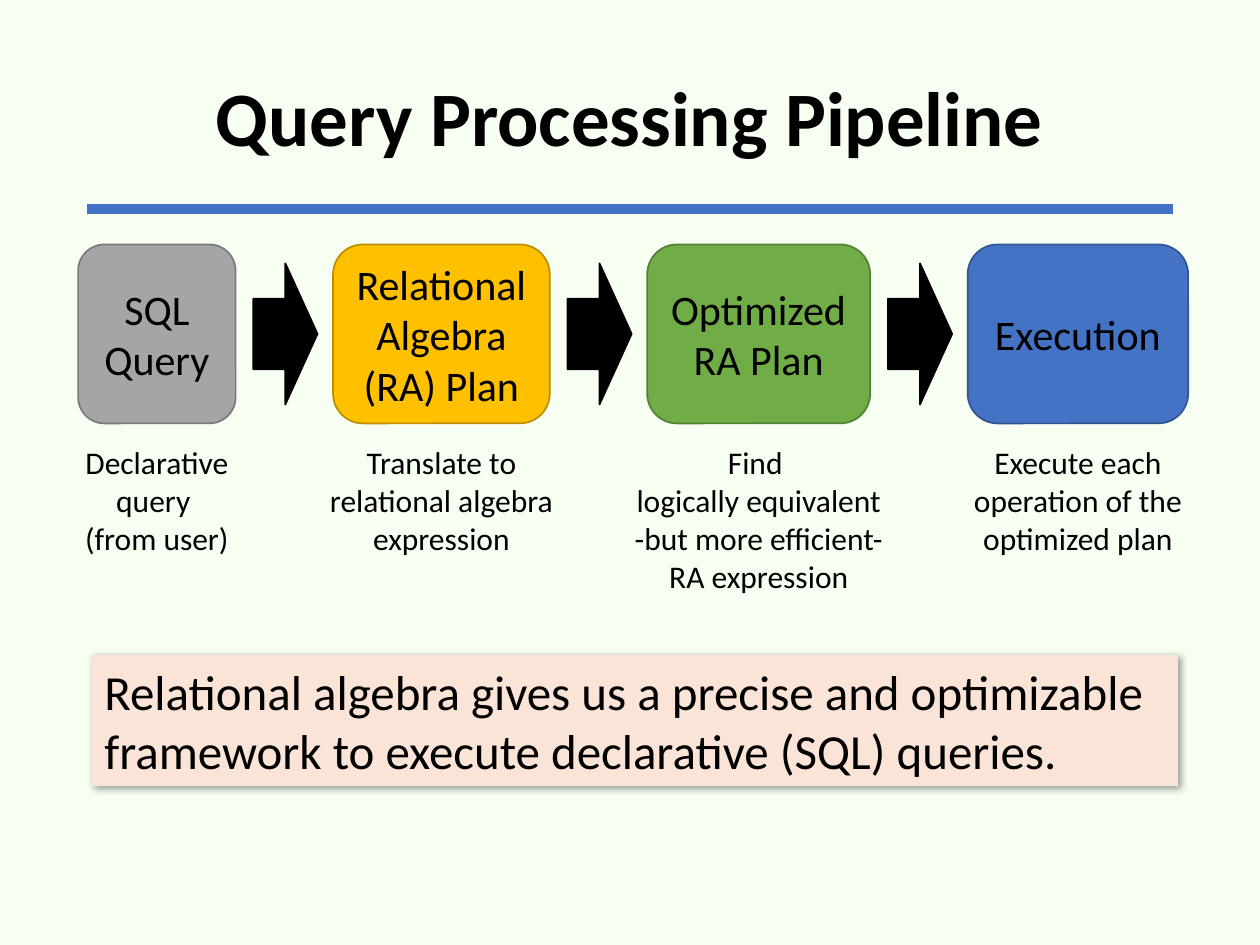
import pptx
import pptx.util
import pptx.dml.color
import pptx.enum.shapes
import pptx.enum.text
import pptx.oxml
import pptx.oxml.ns
from lxml import etree

Inches, Pt = pptx.util.Inches, pptx.util.Pt
SHAPE = pptx.enum.shapes.MSO_SHAPE
ALIGN = pptx.enum.text.PP_ALIGN
ANCHOR = pptx.enum.text.MSO_ANCHOR

COLORS = {
    "background": "F7FFF3", "text": "000000", "blue": "4472C4", "blue_edge": "325491",
    "gray": "A5A5A5", "gray_edge": "7A7A7A", "gold": "FFC000", "gold_edge": "BD8E00",
    "green": "70AD47", "green_edge": "538035", "banner": "FAE4D7",
}
STAGES = [
    ("SQL Query", 1.25, "gray", 1.45, ["Declarative query ", "(from user)"]),
    ("Relational Algebra (RA) Plan", 1.72, "gold", 2.11,
     ["Translate to relational algebra expression"]),
    ("Optimized RA Plan", 1.77, "green", 2.29,
     ["Find ", "logically equivalent", "-but more efficient- RA expression"]),
    ("Execution", 1.75, "blue", 1.91, ["Execute each operation of the optimized plan"]),
]


def rgb(name):
    return pptx.dml.color.RGBColor.from_string(COLORS[name])


def write(sp, lines, size, align=ALIGN.CENTER, anchor=ANCHOR.TOP, bold=False, spacing=None):
    tf = sp.text_frame
    tf.word_wrap = True
    tf.vertical_anchor = anchor
    for i, line in enumerate(lines):
        p = tf.paragraphs[0] if i == 0 else tf.add_paragraph()
        p.alignment = align
        p.line_spacing = spacing
        r = p.add_run()
        r.text = line
        r.font.name = "Calibri"
        r.font.size = Pt(size)
        r.font.bold = bold
        r.font.color.rgb = rgb("text")


def add_shape(s, kind, x, y, w, h, fill, edge=None):
    sp = s.shapes.add_shape(kind, Inches(x), Inches(y), Inches(w), Inches(h))
    sp.shadow.inherit = False
    sp.fill.solid()
    sp.fill.fore_color.rgb = rgb(fill)
    if edge:
        sp.line.color.rgb = rgb(edge)
        sp.line.width = Pt(1)
    else:
        sp.line.fill.background()
    return sp


def add_text(s, x, y, w, h, lines, size, **fmt):
    sp = s.shapes.add_textbox(Inches(x), Inches(y), Inches(w), Inches(h))
    write(sp, lines, size, **fmt)


def add_header(s, x, y, w, h):
    rule_y = y + h - 0.03
    rule = s.shapes.add_connector(
        pptx.enum.shapes.MSO_CONNECTOR.STRAIGHT,
        Inches(x + 0.3), Inches(rule_y), Inches(x + w - 0.3), Inches(rule_y))
    rule.line.color.rgb = rgb("blue")
    rule.line.width = Pt(6)
    etree.SubElement(rule._element.spPr, pptx.oxml.ns.qn("a:effectLst"))
    add_text(s, x, y, w, h, ["Query Processing Pipeline"], 44,
             anchor=ANCHOR.MIDDLE, bold=True, spacing=0.9)


def add_pipeline(s, x, y, w, h):
    gap = (w - sum(stage[1] for stage in STAGES)) / (len(STAGES) - 1)
    for i, (name, width, color, caption_w, caption) in enumerate(STAGES):
        if i:
            add_shape(s, SHAPE.RIGHT_ARROW, x - gap + 0.14, y + 0.15, 0.51, h - 0.3,
                      "text", "text")
        sp = add_shape(s, SHAPE.ROUNDED_RECTANGLE, x, y, width, h, color, color + "_edge")
        write(sp, [name], 24, anchor=ANCHOR.MIDDLE)
        add_text(s, x + (width - caption_w) / 2, y + h + 0.11, caption_w,
                 1.31 if len(caption) > 2 else 1.01, caption, 18)
        x += width + gap


def add_banner(s, x, y, w, h):
    sp = add_shape(s, SHAPE.RECTANGLE, x, y, w, h, "banner")
    write(sp, ["Relational algebra gives us a precise and optimizable framework "
               "to execute declarative (SQL) queries."], 28, align=ALIGN.LEFT)
    effects = sp._element.spPr.find(pptx.oxml.ns.qn("a:effectLst"))
    effects.append(pptx.oxml.parse_xml(
        f'<a:outerShdw {pptx.oxml.ns.nsdecls("a")} blurRad="{Pt(4)}" dist="{Pt(1)}" '
        f'dir="2700000" algn="tl" rotWithShape="0"><a:srgbClr val="{COLORS["text"]}">'
        '<a:alpha val="40000"/></a:srgbClr></a:outerShdw>'))


def main():
    prs = pptx.Presentation()
    prs.slide_width, prs.slide_height = Inches(10), Inches(7.5)
    s = prs.slides.add_slide(prs.slide_layouts[6])
    s.background.fill.solid()
    s.background.fill.fore_color.rgb = rgb("background")
    add_header(s, 0.39, 0.24, 9.22, 1.45)
    add_pipeline(s, 0.62, 1.94, 8.81, 1.42)
    add_banner(s, 0.73, 5.2, 8.62, 1.04)
    prs.save("out.pptx")


if __name__ == "__main__":
    main()
